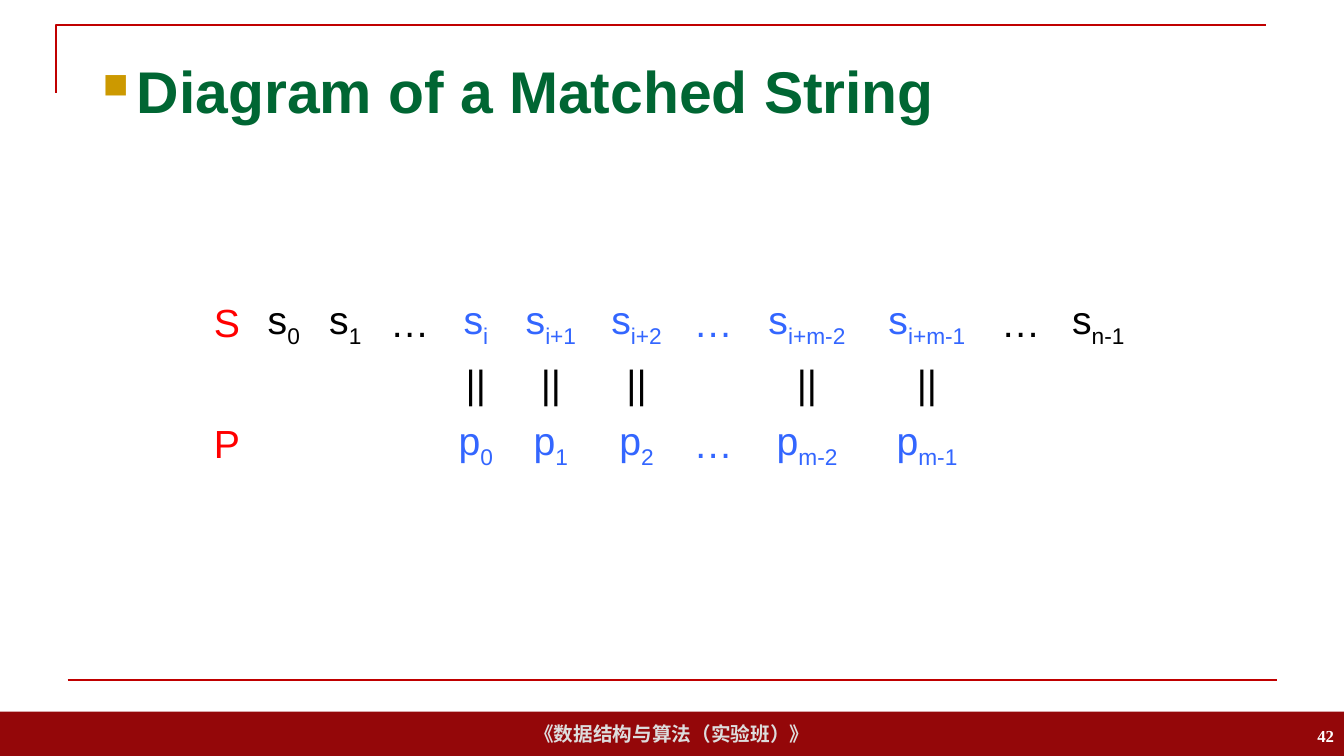
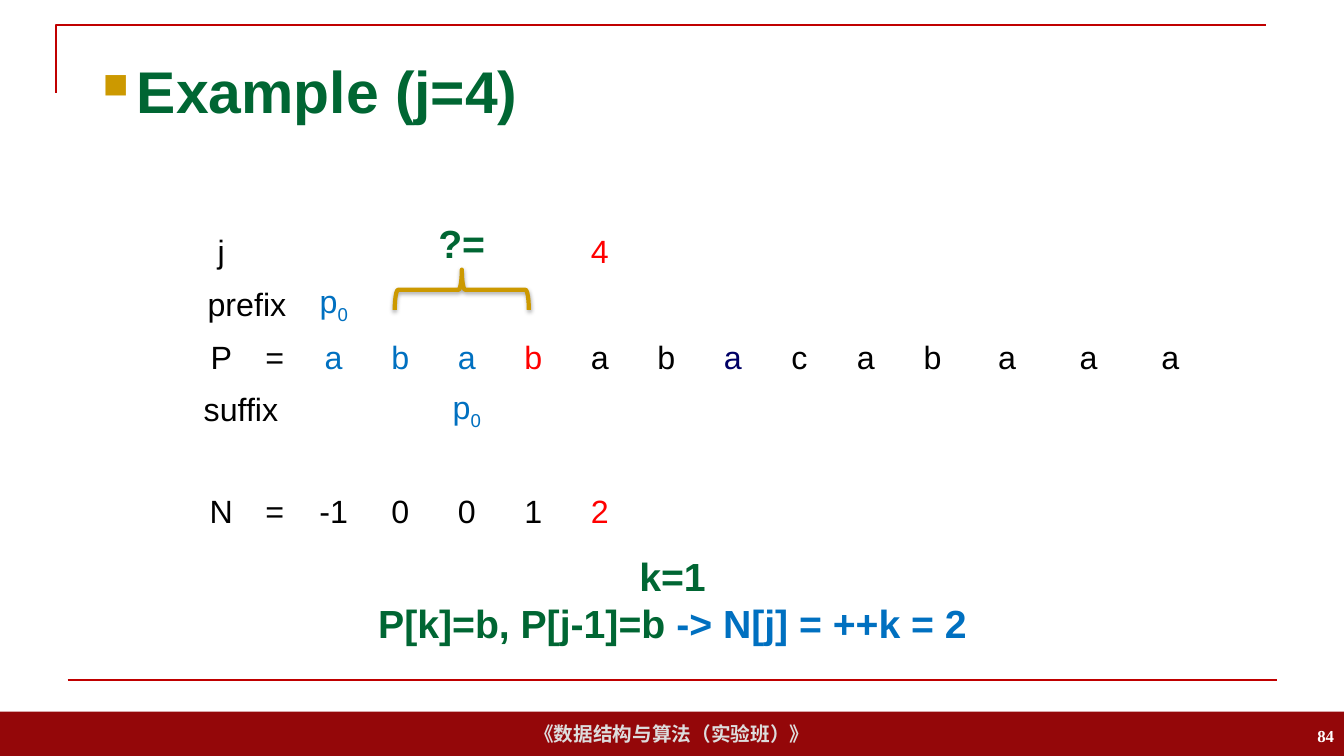
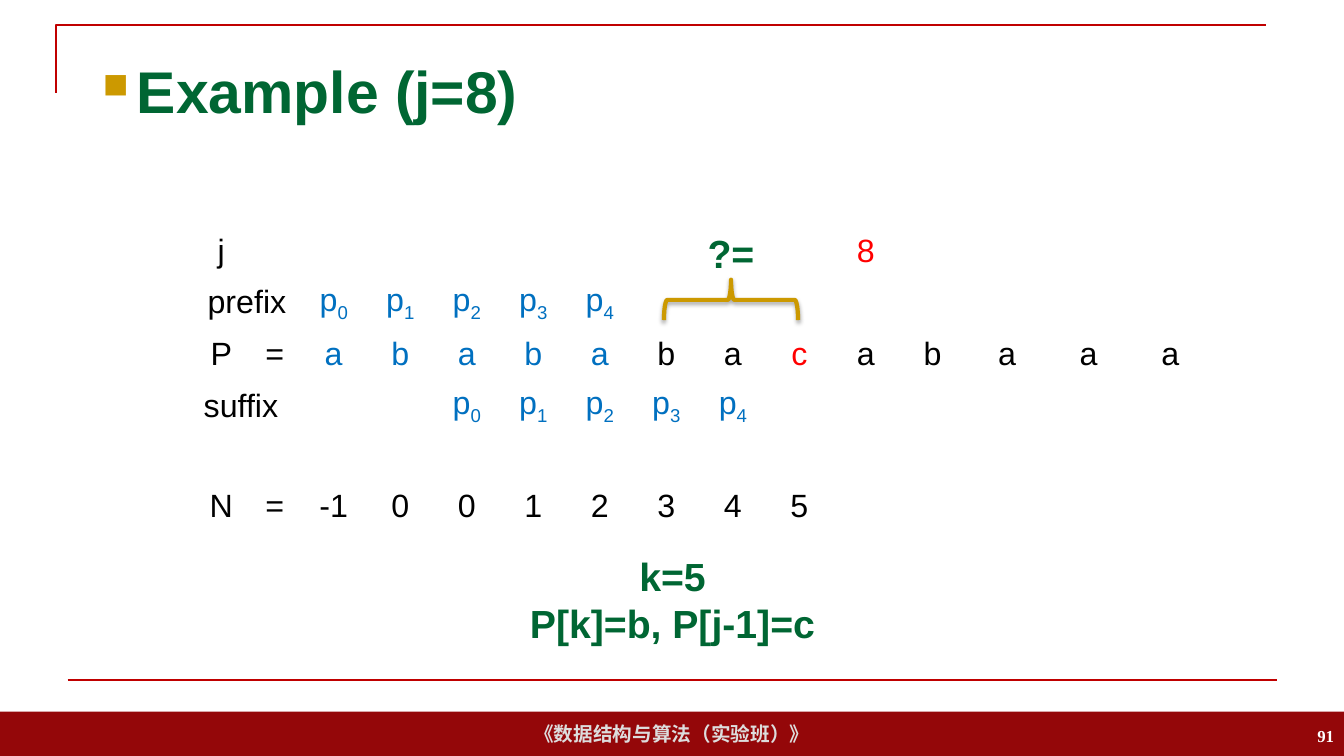
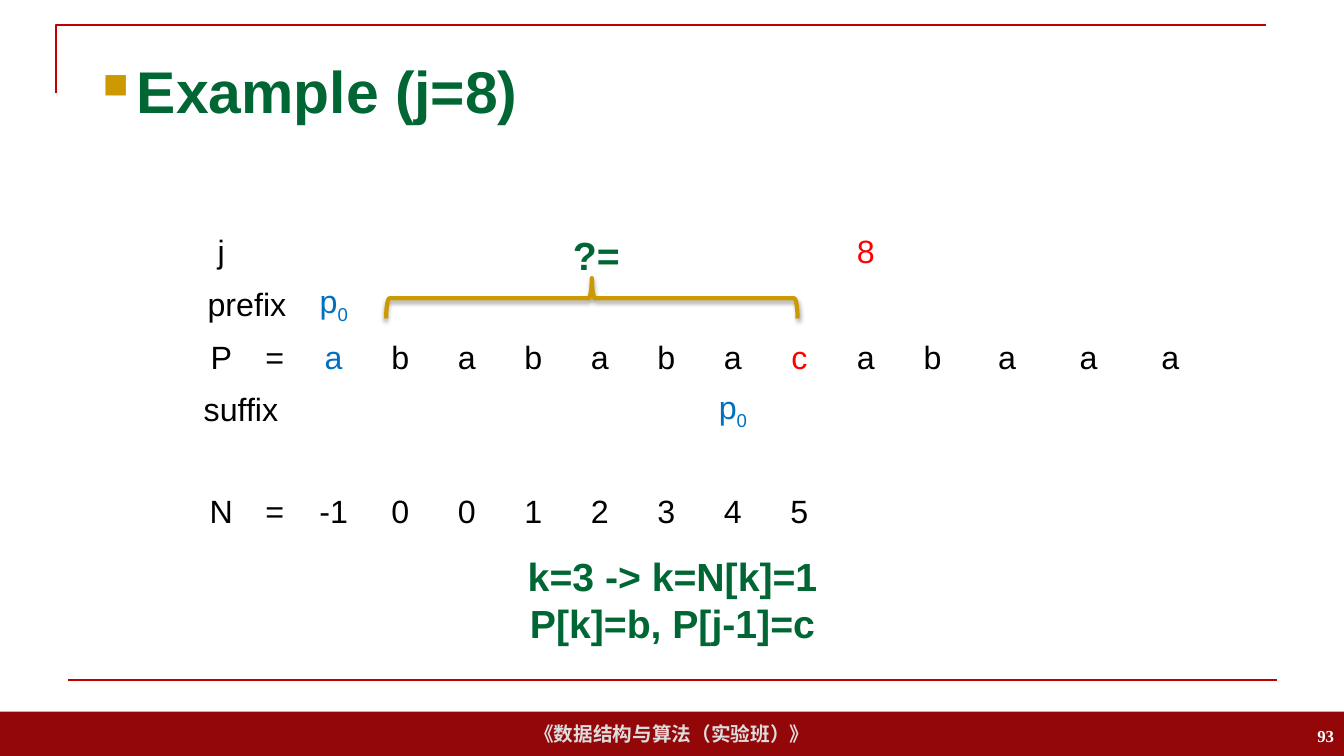
from dataclasses import dataclass, field

from lxml import etree
from pptx import Presentation
from pptx import util as u
from pptx.dml import color
from pptx.enum import shapes, text
from pptx.oxml import ns

EMU_PER_PX = 9144
PAGE_W, PAGE_H = 1333, 750
SANS, SERIF = "Arial", "Times New Roman"
BLACK, WHITE, RED = "000000", "FFFFFF", "FF0000"
BAND, RULE, GOLD, GREEN = "940709", "C00000", "CC9900", "006633"
WINDOW, MATCH, NAVY, PALE = "3366FF", "0070C0", "000066", "DDDDDD"
CENTER, LEFT, RIGHT = text.PP_ALIGN.CENTER, text.PP_ALIGN.LEFT, text.PP_ALIGN.RIGHT
MIDDLE = text.MSO_ANCHOR.MIDDLE

COURSE = "《数据结构与算法（实验班）》"
PATTERN = "ababababcabaaa"[2:]
PATTERN = "abababacabaaa"
NEXT = [-1, 0, 0, 1, 2, 3, 4, 5]
TRACE_BOX = (192, 225)
TRACE_COLS = [55, 51] + [66] * 10 + [82, 80, 82]
TRACE_SIZE = 23
FIRST = 2
MATCH_BOX = (199, 290)
MATCH_COLS = [52, 61, 61, 67, 64, 85, 85, 67, 119, 119, 67, 87]
MATCH_ROW = 57
VERDICT_BOX = (288, 543, 758, 104)


@dataclass
class Step:
    """One step of the next-array trace."""
    number: int
    j: int
    prefix: int
    matched: int
    suffix_at: int
    known: int
    rows: list
    brace: tuple
    label: tuple
    verdict: list
    accents: dict = field(default_factory=dict)


EVEN_ROWS = [51, 51, 51, 51, 49, 51]
TIGHT_ROWS = [48, 48, 49, 48, 48, 49]
STEPS = [
    Step(84, 4, 1, 3, 2, 5, EVEN_ROWS, (392, 267, 133, 40), (416, 213, 84, 57),
         [[("k=1", GREEN)],
          [("P[k]=b, P[j-1]=b ", GREEN), ("-> N[j] = ++k = 2", MATCH)]], {6: NAVY}),
    Step(91, 8, 5, 5, 2, 8, TIGHT_ROWS, (659, 277, 133, 40), (683, 223, 84, 57),
         [[("k=5", GREEN)], [("P[k]=b, P[j-1]=c", GREEN)]]),
    Step(93, 8, 1, 1, 6, 8, EVEN_ROWS, (383, 276, 408, 40), (533, 225, 117, 57),
         [[("k=3 -> k=N[k]=1", GREEN)], [("P[k]=b, P[j-1]=c", GREEN)]]),
]


def px(length):
    """Turn px into EMU."""
    return u.Emu(length * EMU_PER_PX)


def rgb(value):
    """Turn a hex string into a colour."""
    return color.RGBColor.from_string(value)


def add_span(para, words, size, colour, bold=False, font=SANS, subscript=False):
    """Add one formatted run to a paragraph."""
    span = para.add_run()
    span.text = words
    span.font.size = u.Pt(size)
    span.font.name = font
    span.font.bold = bold
    span.font.color.rgb = rgb(colour)
    if subscript:
        span.font._element.set("baseline", "-25000")


def add_text(page, box, lines, size, align=CENTER, anchor=None, font=SANS):
    """Add a bold text box whose lines are lists of (words, colour)."""
    shape = page.shapes.add_textbox(*map(px, box))
    frame = shape.text_frame
    frame.word_wrap = True
    frame.vertical_anchor = anchor
    for index, line in enumerate(lines):
        para = frame.add_paragraph() if index else frame.paragraphs[0]
        para.alignment = align
        for words, colour in line:
            add_span(para, words, size, colour, True, font)
    return shape


def add_bullet(para):
    """Give a paragraph a hanging gold square."""
    props = para._p.get_or_add_pPr()
    props.set("marL", str(px(34)))
    props.set("indent", str(-px(34)))
    tint = etree.SubElement(props, ns.qn("a:buClr"))
    etree.SubElement(tint, ns.qn("a:srgbClr"), val=GOLD)
    etree.SubElement(props, ns.qn("a:buSzPct"), val="60000")
    etree.SubElement(props, ns.qn("a:buFont"), typeface="Wingdings")
    etree.SubElement(props, ns.qn("a:buChar"), char="n")


def style_line(shape, colour, width):
    """Set the colour and width of an outline."""
    shape.line.color.rgb = rgb(colour)
    shape.line.width = u.Pt(width)


def add_frame(page):
    """Draw the footer band, the corner rule and the bottom rule."""
    band = page.shapes.add_shape(shapes.MSO_SHAPE.RECTANGLE,
                                 *map(px, (0, 706, PAGE_W, 44)))
    band.shadow.inherit = False
    band.fill.solid()
    band.fill.fore_color.rgb = rgb(BAND)
    band.line.fill.background()
    band.text_frame.word_wrap = False
    band.text_frame.vertical_anchor = MIDDLE
    para = band.text_frame.paragraphs[0]
    para.alignment = CENTER
    add_span(para, COURSE, 14, PALE, True)

    path = page.shapes.build_freeform(px(56), px(92))
    path.add_line_segments([(px(56), px(25)), (px(1256), px(25))], close=False)
    corner = path.convert_to_shape()
    corner.shadow.inherit = False
    corner.fill.background()
    style_line(corner, RULE, 1.5)

    rule = page.shapes.add_connector(shapes.MSO_CONNECTOR.STRAIGHT,
                                     *map(px, (67, 675, 1267, 675)))
    style_line(rule, RULE, 1.5)
    etree.SubElement(rule._element.spPr, ns.qn("a:effectLst"))


def add_page(deck, title, number):
    """Add a blank page with frame, title and page number."""
    page = deck.slides.add_slide(deck.slide_layouts[6])
    add_frame(page)
    heading = add_text(page, (92, 40, 1150, 99), [[(title, GREEN)]], 42, LEFT, MIDDLE)
    add_bullet(heading.text_frame.paragraphs[0])
    add_text(page, (1033, 710, 300, 40), [[(str(number), WHITE)]], 12,
             RIGHT, MIDDLE, SERIF)
    return page


def add_grid(page, corner, cols, rows):
    """Add a plain table without fills."""
    box = (*corner, sum(cols), sum(rows))
    table = page.shapes.add_table(len(rows), len(cols), *map(px, box)).table
    table.first_row = False
    table.horz_banding = False
    for column, width in zip(table.columns, cols):
        column.width = px(width)
    for row, height in zip(table.rows, rows):
        row.height = px(height)
    for cell in table.iter_cells():
        cell.fill.background()
        cell.vertical_anchor = MIDDLE
    return table


def put(cell, words, size, colour=BLACK, align=CENTER):
    """Write a cell; what follows an underscore is a subscript."""
    para = cell.text_frame.paragraphs[0]
    para.alignment = align
    base, _, index = words.partition("_")
    add_span(para, base, size, colour)
    if index:
        add_span(para, index, size, colour, subscript=True)


def add_match(page, corner):
    """Show the text S above the pattern P it matches."""
    table = add_grid(page, corner, MATCH_COLS, [MATCH_ROW] * 3)
    top = "S s_0 s_1 … s_i s_i+1 s_i+2 … s_i+m-2 s_i+m-1 … s_n-1".split()
    bottom = "p_0 p_1 p_2 … p_m-2 p_m-1".split()
    window = range(4, 4 + len(bottom))
    for col, words in enumerate(top):
        colour = RED if col == 0 else WINDOW if col in window else BLACK
        put(table.cell(0, col), words, 28, colour)
    put(table.cell(2, 0), "P", 28, RED)
    for col, words in zip(window, bottom):
        put(table.cell(2, col), words, 28, WINDOW)
        if words != "…":
            put(table.cell(1, col), "||", 28)


def add_trace(page, corner, step):
    """Show the pattern, its matching prefix and suffix, and the next array."""
    table = add_grid(page, corner, TRACE_COLS, step.rows)
    table.cell(1, 0).merge(table.cell(1, 1))
    table.cell(3, 0).merge(table.cell(3, 2))
    for row, words in enumerate(["j", "prefix", "P", "suffix", "", "N"]):
        if words:
            put(table.cell(row, 0), words, TRACE_SIZE,
                align=LEFT if words == "suffix" else CENTER)
    for row in (2, 5):
        put(table.cell(row, 1), "=", TRACE_SIZE)
    put(table.cell(0, FIRST + step.j), str(step.j), TRACE_SIZE, RED)
    for index in range(step.prefix):
        for row, start in ((1, 0), (3, step.suffix_at)):
            put(table.cell(row, FIRST + start + index), f"p_{index}", TRACE_SIZE, MATCH)
    tints = {index: MATCH for index in range(step.matched)}
    tints.update({step.j - 1: RED}, **{})
    tints.update(step.accents)
    for index, letter in enumerate(PATTERN):
        put(table.cell(2, FIRST + index), letter, TRACE_SIZE, tints.get(index, BLACK))
    for index, value in enumerate(NEXT[:step.known]):
        put(table.cell(5, FIRST + index), str(value), TRACE_SIZE,
            RED if index == step.j else BLACK)


def add_brace(page, box):
    """Draw an upward brace that fills the box as seen after its turn."""
    left, top, width, height = box
    shift = (width - height) // 2
    brace = page.shapes.add_shape(shapes.MSO_SHAPE.LEFT_BRACE, px(left + shift),
                                  px(top - shift), px(height), px(width))
    brace.rotation = 90
    brace.fill.background()
    style_line(brace, GOLD, 3)
    effects = etree.SubElement(brace._element.spPr, ns.qn("a:effectLst"))
    shadow = etree.SubElement(effects, ns.qn("a:outerShdw"), blurRad="40000",
                              dist="23000", dir="5400000", rotWithShape="0")
    tint = etree.SubElement(shadow, ns.qn("a:srgbClr"), val=BLACK)
    etree.SubElement(tint, ns.qn("a:alpha"), val="35000")


def add_match_page(deck):
    """Build the diagram of a matched string."""
    page = add_page(deck, "Diagram of a Matched String", 42)
    add_match(page, MATCH_BOX)


def add_step_page(deck, step):
    """Build one example page."""
    page = add_page(deck, f"Example (j={step.j})", step.number)
    add_text(page, VERDICT_BOX, step.verdict, 28)
    add_trace(page, TRACE_BOX, step)
    add_brace(page, step.brace)
    add_text(page, step.label, [[("?=", GREEN)]], 28)


def main():
    """Build and save the deck."""
    deck = Presentation()
    deck.slide_width, deck.slide_height = px(PAGE_W), px(PAGE_H)
    add_match_page(deck)
    for step in STEPS:
        add_step_page(deck, step)
    deck.save("out.pptx")


if __name__ == "__main__":
    main()
